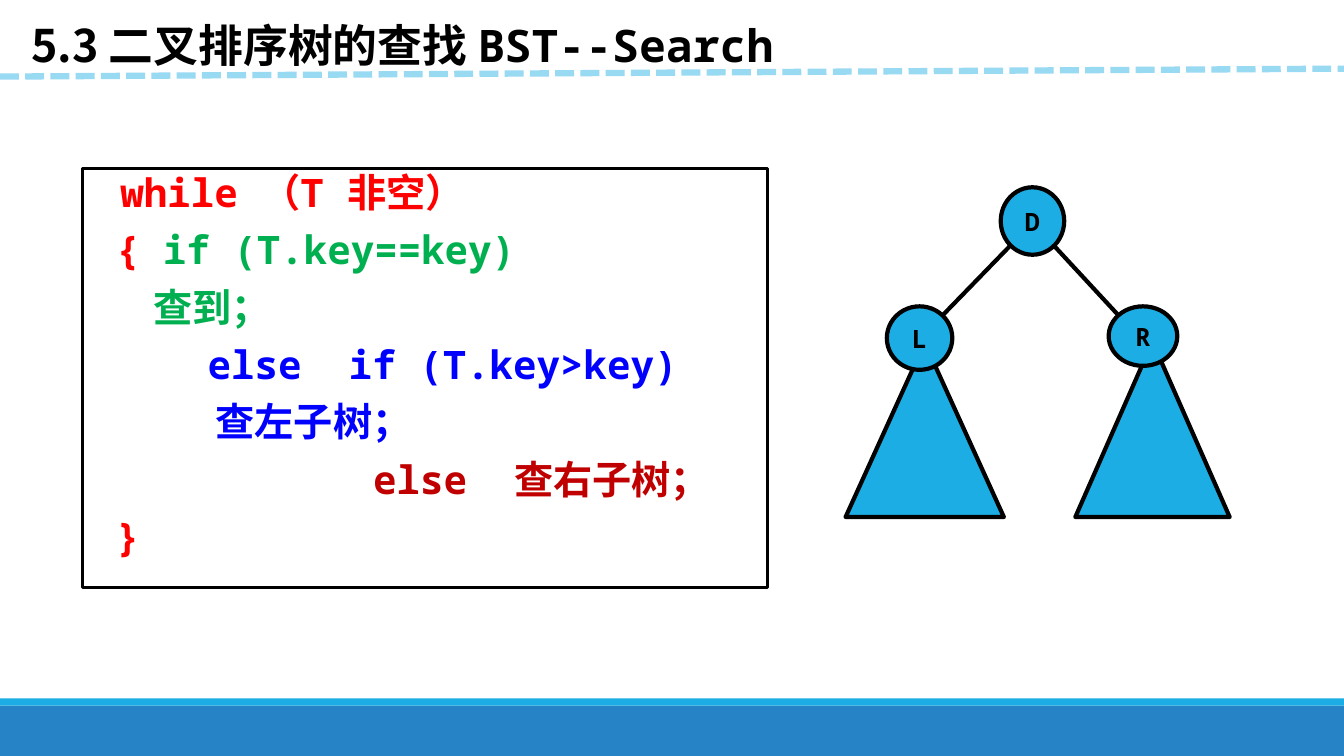
import pptx
import pptx.util
import pptx.dml.color
import pptx.enum.dml
import pptx.enum.shapes
import pptx.enum.text
import pptx.oxml.ns
from lxml import etree

Cm = pptx.util.Cm
Pt = pptx.util.Pt
qn = pptx.oxml.ns.qn
RGB = pptx.dml.color.RGBColor.from_string
FORM = pptx.enum.shapes.MSO_SHAPE
ANCHOR = pptx.enum.text.MSO_ANCHOR
ALIGN = pptx.enum.text.PP_ALIGN
HUES = {
    "ink": "000000", "paper": "FFFFFF", "band": "2683C6", "sky": "1CADE4",
    "dash": "99DAF3", "red": "FF0000", "green": "00B050", "blue": "0000FF",
    "wine": "C00000",
}
MONO = "Noto Sans Mono"
HAN = "Noto Sans CJK SC"


def say(para, text, size=28, hue="ink", face=MONO, gap=0):
    run = para.add_run()
    run.text = text
    run.font.size = Pt(size)
    run.font.bold = True
    run.font.color.rgb = RGB(HUES[hue])
    run.font.name = face
    props = run._r.get_or_add_rPr()
    etree.SubElement(props, qn("a:ea")).set("typeface", HAN)
    if gap:
        props.set("spc", str(gap * 100))


def draw(form, box, hue, edge=0):
    shape = slide.shapes.add_shape(form, *map(Cm, box))
    shape.shadow.inherit = False
    shape.fill.solid()
    shape.fill.fore_color.rgb = RGB(HUES[hue])
    if edge:
        shape.line.width = Pt(edge)
        shape.line.color.rgb = RGB(HUES["ink"])
    else:
        shape.line.fill.background()
    return shape


deck = pptx.Presentation()
deck.slide_width = Cm(33.87)
deck.slide_height = Cm(19.05)
slide = deck.slides.add_slide(deck.slide_layouts[1])

draw(FORM.RECTANGLE, (0, 17.78, 33.87, 1.27), "band")
draw(FORM.RECTANGLE, (0, 17.6, 33.87, 0.18), "sky")

title = slide.shapes.title
body = slide.placeholders[1]
for holder, box in (
    (title, (0.53, 0.3, 19.96, 1.63)),
    (body, (2.08, 4.24, 17.27, 10.57)),
):
    holder.left, holder.top, holder.width, holder.height = map(Cm, box)
    holder.text_frame.auto_size = pptx.enum.text.MSO_AUTO_SIZE.NONE
    holder.text_frame.word_wrap = True

title.fill.solid()
title.fill.fore_color.rgb = RGB(HUES["paper"])
title.text_frame.vertical_anchor = ANCHOR.MIDDLE
head = title.text_frame.paragraphs[0]
head.alignment = ALIGN.LEFT
say(head, "5.3 二叉排序树的查找 ", size=32, face=HAN)
say(head, "BST--Search", size=32)

body.line.color.rgb = RGB(HUES["ink"])
body.line.width = Pt(2.25)
body.text_frame.vertical_anchor = ANCHOR.TOP
code = [
    (0.7, [("while （T 非空）", "red", 0)]),
    (0.59, [("{ ", "red", 0), ("if (T.key==key)", "green", 0)]),
    (1.54, [("查到；", "green", 0)]),
    (2.9, [("else", "blue", 0), (" ", "blue", 17), ("if (T.key>key)", "blue", 0)]),
    (3.1, [("查左子树；", "blue", 0)]),
    (7.07, [("else", "wine", 0), (" ", "wine", 17), ("查右子树；", "wine", 0)]),
    (0.59, [("}", "red", 0)]),
]
for row, (indent, parts) in enumerate(code):
    frame = body.text_frame
    para = frame.add_paragraph() if row else frame.paragraphs[0]
    para.alignment = ALIGN.LEFT
    para.line_spacing = Pt(30)
    para.space_before = Pt(11)
    props = para._p.get_or_add_pPr()
    props.set("marL", str(Cm(indent)))
    props.set("indent", "0")
    etree.SubElement(props, qn("a:buNone"))
    for text, hue, gap in parts:
        say(para, text, hue=hue, gap=gap)

lines = [
    ((0, 1.93, 33.87, 1.73), "dash", 4.5),
    ((25.45, 6.2, 23.75, 7.95), "ink", 3),
    ((26.57, 6.2, 28.19, 7.95), "ink", 3),
]
for ends, hue, width in lines:
    link = slide.shapes.add_connector(
        pptx.enum.shapes.MSO_CONNECTOR.STRAIGHT, *map(Cm, ends))
    link.line.color.rgb = RGB(HUES[hue])
    link.line.width = Pt(width)
    if hue == "dash":
        link.line.dash_style = pptx.enum.dml.MSO_LINE.SQUARE_DOT
    etree.SubElement(link._element.spPr, qn("a:effectLst"))

for box in ((21.31, 8.64, 3.99, 4.39), (27.1, 8.61, 3.89, 4.42)):
    draw(FORM.ISOSCELES_TRIANGLE, box, "sky", 3)

nodes = [
    ("D", (25.22, 4.72, 1.6, 1.7)),
    ("L", (22.35, 7.72, 1.65, 1.6)),
    ("R", (27.94, 7.72, 1.73, 1.5)),
]
for name, box in nodes:
    frame = draw(FORM.OVAL, box, "sky", 3).text_frame
    frame.margin_left = frame.margin_right = 0
    frame.margin_top = frame.margin_bottom = 0
    frame.vertical_anchor = ANCHOR.MIDDLE
    frame.paragraphs[0].alignment = ALIGN.CENTER
    say(frame.paragraphs[0], name, size=18)

deck.save("out.pptx")
